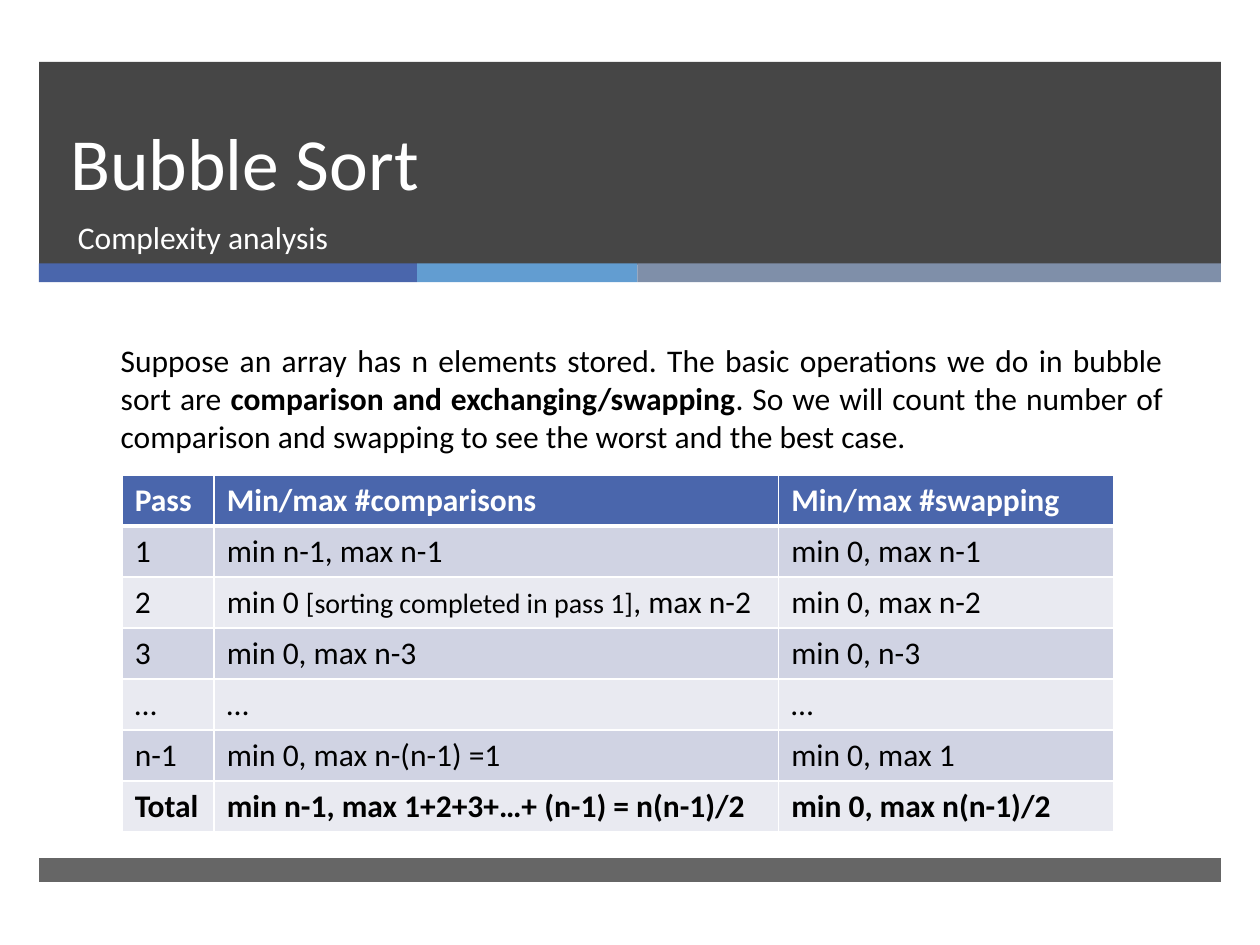
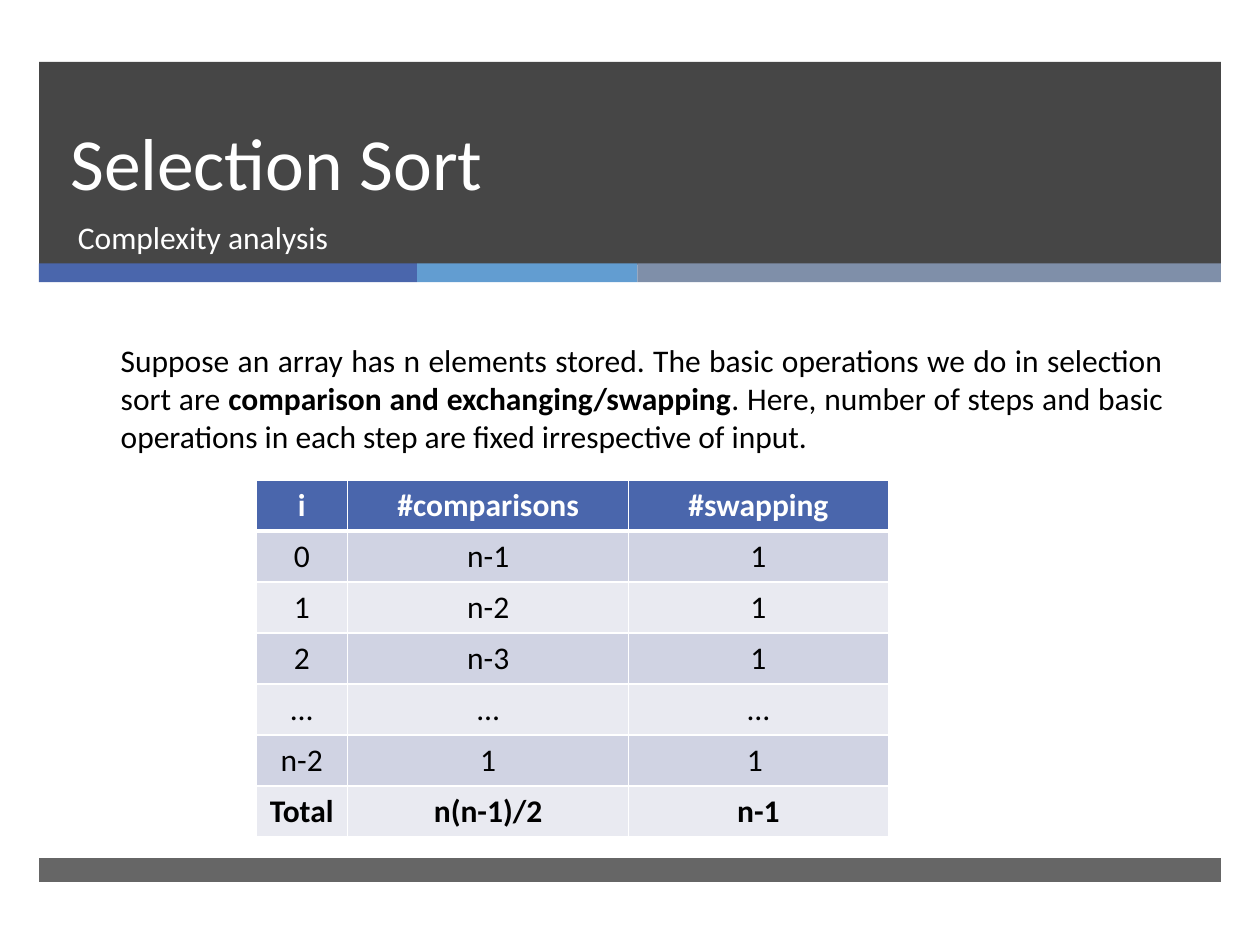
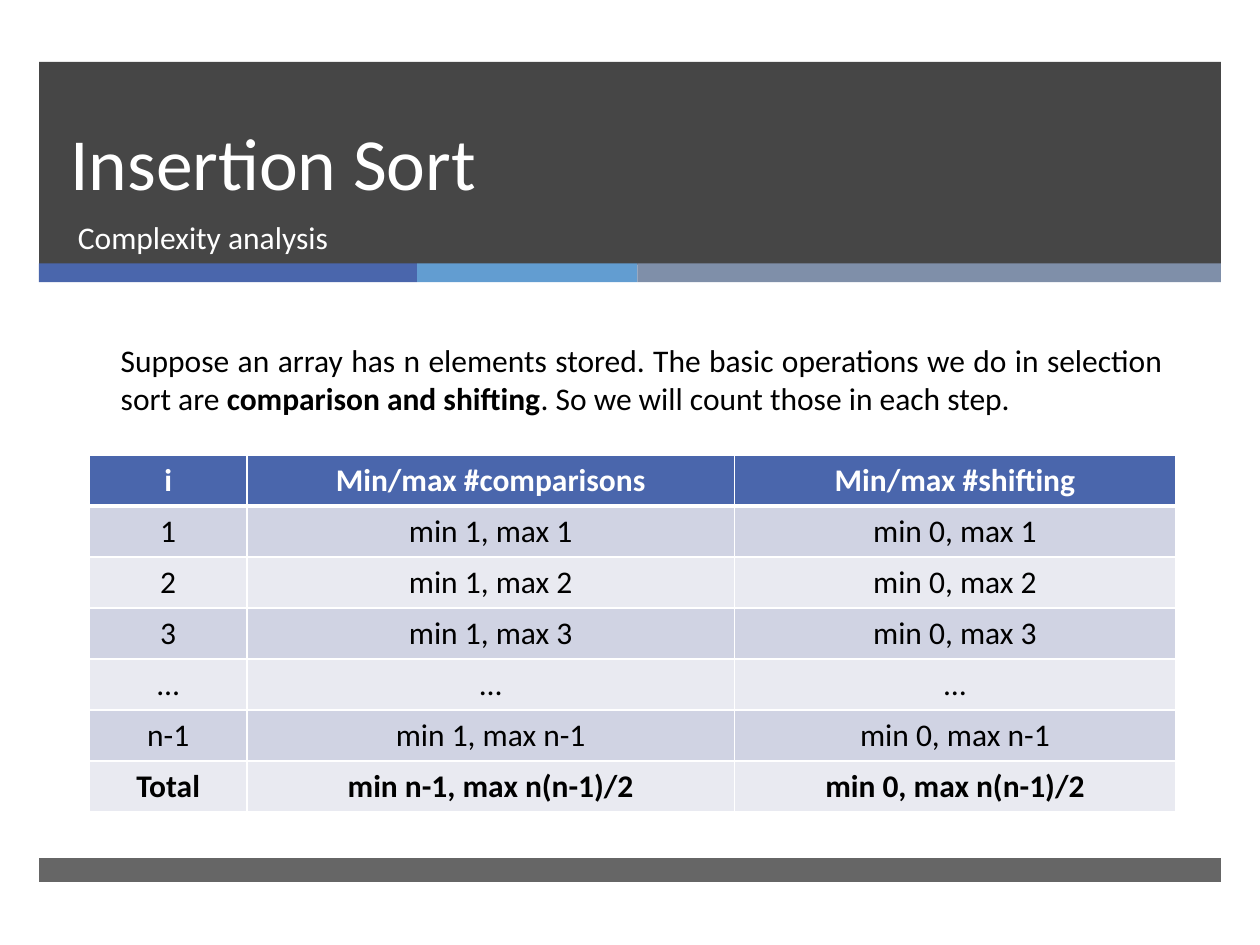
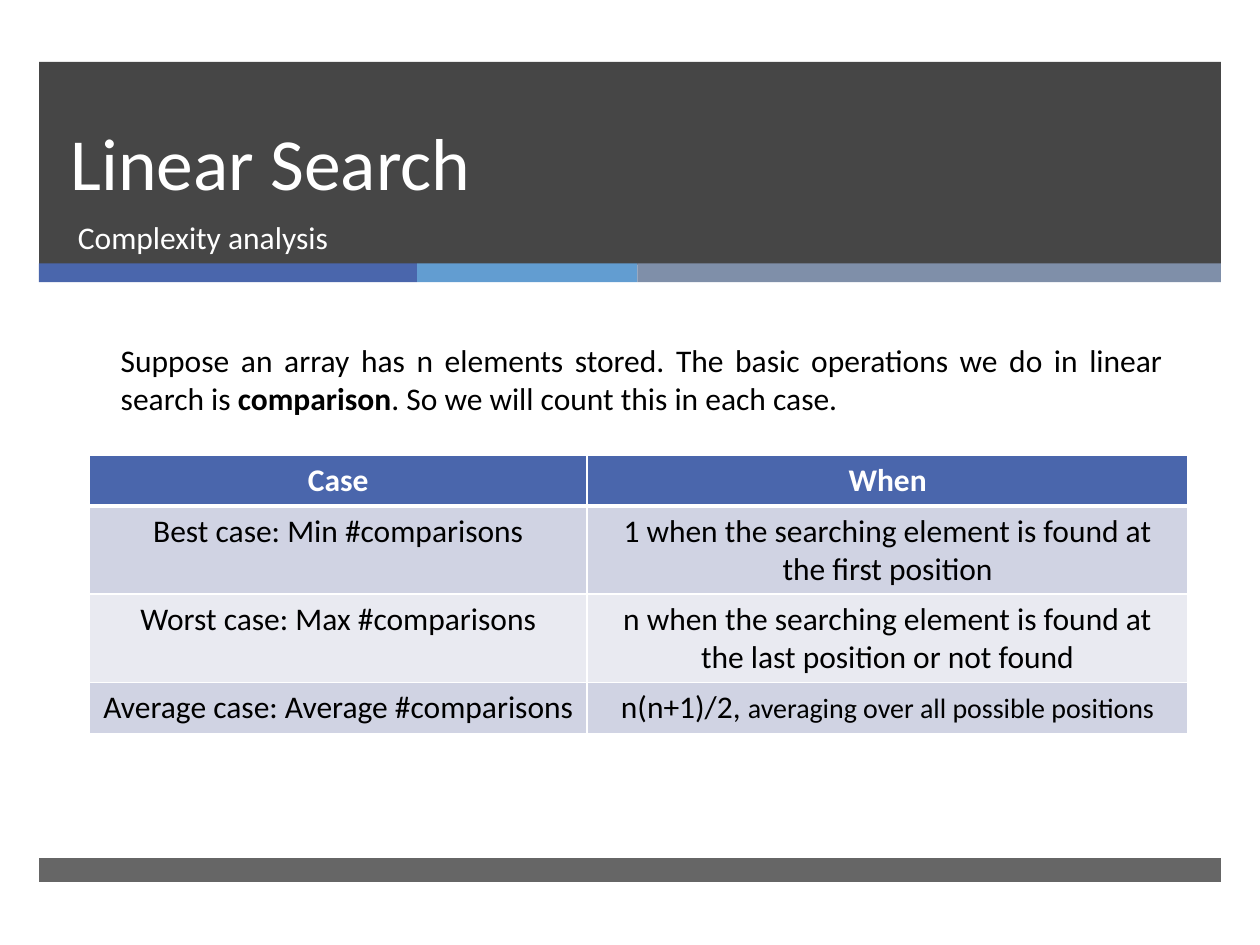
"""Build four slides on the complexity of sorting and searching algorithms."""
from lxml import etree
from pptx import Presentation
from pptx.dml.color import RGBColor
from pptx.enum import shapes, text
from pptx.oxml.ns import qn
from pptx.util import Inches, Pt

FONT = "Calibri"
WHITE = RGBColor(0xFF, 0xFF, 0xFF)
BLACK = RGBColor(0, 0, 0)
CHARCOAL = RGBColor(0x26, 0x26, 0x26)
BLUE = RGBColor(0x4A, 0x66, 0xAC)
SKY = RGBColor(0x62, 0x9D, 0xD1)
SLATE = RGBColor(0x7F, 0x8F, 0xA9)
ROW_FILLS = (RGBColor(0xE9, 0xEA, 0xF1), RGBColor(0xD0, 0xD3, 0xE3))

TITLE_SIZE, BODY_SIZE, ASIDE_SIZE = 42, 18, 16
MARGIN, BAND_WIDTH = 0.31, 9.38
STRIPES = [(3, BLUE), (1.75, SKY), (4.63, SLATE)]
CELL_PADDING, LINE_HEIGHT = 0.11, 0.295
SUBTITLE = "Complexity analysis"
OPENING = "Suppose an array has n elements stored. The basic operations we do in "
LEFT, CENTER = text.PP_ALIGN.LEFT, text.PP_ALIGN.CENTER

SLIDES = [
    {
        "title": "Bubble Sort",
        "intro": ("bubble sort are ", "comparison and exchanging/swapping",
                  ". So we will count the number of comparison and swapping "
                  "to see the worst and the best case."),
        "intro_height": 4.04,
        "table_at": (0.97, 3.77),
        "columns": (0.73, 4.48, 2.66),
        "align": LEFT,
        "rows": [
            ("Pass", "Min/max #comparisons", "Min/max #swapping"),
            ("1", "min n-1, max n-1", "min 0, max n-1"),
            ("2", [("min 0 ", BODY_SIZE), ("[sorting completed in pass 1]", ASIDE_SIZE),
                   (", max n-2", BODY_SIZE)], "min 0, max n-2"),
            ("3", "min 0, max n-3", "min 0, n-3"),
            ("…", "…", "…"),
            ("n-1", "min 0, max n-(n-1) =1", "min 0, max 1"),
            ("Total", "min n-1, max 1+2+3+…+ (n-1) = n(n-1)/2", "min 0, max n(n-1)/2"),
        ],
    },
    {
        "title": "Selection Sort",
        "intro": ("selection sort are ", "comparison and exchanging/swapping",
                  ". Here, number of steps and basic operations in each step "
                  "are fixed irrespective of input."),
        "intro_height": 4.04,
        "table_at": (2.03, 3.81),
        "columns": (0.73, 2.23, 2.06),
        "align": CENTER,
        "rows": [
            ("i", "#comparisons", "#swapping"),
            ("0", "n-1", "1"),
            ("1", "n-2", "1"),
            ("2", "n-3", "1"),
            ("…", "…", "…"),
            ("n-2", "1", "1 "),
            ("Total", "n(n-1)/2", "n-1"),
        ],
    },
    {
        "title": "Insertion Sort",
        "intro": ("selection sort are ", "comparison and shifting",
                  ". So we will count those in each step."),
        "intro_height": 3.74,
        "table_at": (0.71, 3.61),
        "columns": (1.25, 3.87, 3.5),
        "align": CENTER,
        "rows": [
            ("i", "Min/max #comparisons", "Min/max #shifting"),
            ("1", "min 1, max 1", "min 0, max 1"),
            ("2", "min 1, max 2", "min 0, max 2"),
            ("3", "min 1, max 3", "min 0, max 3"),
            ("…", "…", "…"),
            ("n-1", "min 1, max n-1", "min 0, max n-1"),
            ("Total", "min n-1, max n(n-1)/2", "min 0, max n(n-1)/2"),
        ],
    },
    {
        "title": "Linear Search",
        "intro": ("linear search is ", "comparison",
                  ". So we will count this in each case."),
        "intro_height": 3.74,
        "table_at": (0.71, 3.61),
        "columns": (3.95, 4.77),
        "align": CENTER,
        "lines": (1, 2, 2, 1),
        "rows": [
            ("Case", "When"),
            ("Best case: Min #comparisons",
             "1 when the searching element is found at the first position"),
            ("Worst case: Max #comparisons",
             "n when the searching element is found at the last position or not found"),
            ("Average case: Average #comparisons",
             [("n(n+1)/2, ", BODY_SIZE),
              ("averaging over all possible positions", ASIDE_SIZE)]),
        ],
    },
]


def add_run(paragraph, words, size=BODY_SIZE, color=BLACK, bold=False):
    run = paragraph.add_run()
    run.text = words
    run.font.name = FONT
    run.font.size = Pt(size)
    run.font.color.rgb = color
    run.font.bold = bold


def add_bar(parent, left, top, width, height, color, opacity=100):
    bar = parent.add_shape(shapes.MSO_SHAPE.RECTANGLE, *map(Inches, (left, top, width, height)))
    bar.shadow.inherit = False
    bar.fill.solid()
    bar.fill.fore_color.rgb = color
    bar.line.fill.background()
    if opacity < 100:
        color_element = bar.fill._xPr.find(".//" + qn("a:srgbClr"))
        etree.SubElement(color_element, qn("a:alpha"), val=str(opacity * 1000))


def add_text_box(slide, left, top, width, height, anchor=text.MSO_ANCHOR.TOP):
    frame = slide.shapes.add_textbox(*map(Inches, (left, top, width, height))).text_frame
    frame.word_wrap = True
    frame.vertical_anchor = anchor
    return frame.paragraphs[0]


def add_frame(slide, title):
    add_bar(slide.shapes, MARGIN, 0.49, BAND_WIDTH, 1.61, CHARCOAL, 85)
    stripes = slide.shapes.add_group_shape()
    left = MARGIN
    for width, color in STRIPES:
        add_bar(stripes.shapes, left, 2.09, width, 0.15, color)
        left += width
    add_bar(slide.shapes, MARGIN, 6.81, BAND_WIDTH, 0.19, CHARCOAL, 70)

    heading = add_text_box(slide, 0.46, 0.49, 8.54, 1.19, text.MSO_ANCHOR.BOTTOM)
    heading.line_spacing = Pt(46)
    add_run(heading, title, TITLE_SIZE, WHITE)
    add_run(add_text_box(slide, 0.52, 1.68, 8.48, 0.53), SUBTITLE, color=WHITE)


def add_intro(slide, height, before, key_words, after):
    paragraph = add_text_box(slide, 0.86, 2.66, 8.47, height)
    paragraph.alignment = text.PP_ALIGN.JUSTIFY
    add_run(paragraph, OPENING + before)
    add_run(paragraph, key_words, bold=True)
    add_run(paragraph, after)


def set_borders(cell, top, bottom):
    properties = cell._tc.get_or_add_tcPr()
    for index, (side, points) in enumerate((("L", 1), ("R", 1), ("T", top), ("B", bottom))):
        line = etree.Element(qn("a:ln" + side), w=str(Pt(points)))
        fill = etree.SubElement(line, qn("a:solidFill"))
        etree.SubElement(fill, qn("a:srgbClr"), val=str(WHITE))
        properties.insert(index, line)


def add_table(slide, content):
    rows, columns = content["rows"], content["columns"]
    lines = content.get("lines", (1,) * len(rows))
    heights = [CELL_PADDING + LINE_HEIGHT * count for count in lines]
    left, top = content["table_at"]
    table = slide.shapes.add_table(
        len(rows), len(columns),
        *map(Inches, (left, top, sum(columns), sum(heights)))).table
    for column, width in zip(table.columns, columns):
        column.width = Inches(width)
    for number, (row, height, entries) in enumerate(zip(table.rows, heights, rows)):
        row.height = Inches(height)
        header = number == 0
        for cell, entry in zip(row.cells, entries):
            cell.fill.solid()
            cell.fill.fore_color.rgb = BLUE if header else ROW_FILLS[number % 2]
            set_borders(cell, 3 if number == 1 else 1, 3 if header else 1)
            paragraph = cell.text_frame.paragraphs[0]
            paragraph.alignment = content["align"]
            runs = [(entry, BODY_SIZE)] if isinstance(entry, str) else entry
            for words, size in runs:
                add_run(paragraph, words, size, WHITE if header else BLACK,
                        header or entries[0] == "Total")


def main():
    presentation = Presentation()
    presentation.slide_width, presentation.slide_height = Inches(10), Inches(7.5)
    for content in SLIDES:
        slide = presentation.slides.add_slide(presentation.slide_layouts[6])
        add_frame(slide, content["title"])
        add_intro(slide, content["intro_height"], *content["intro"])
        add_table(slide, content)
    presentation.save("out.pptx")


if __name__ == "__main__":
    main()
